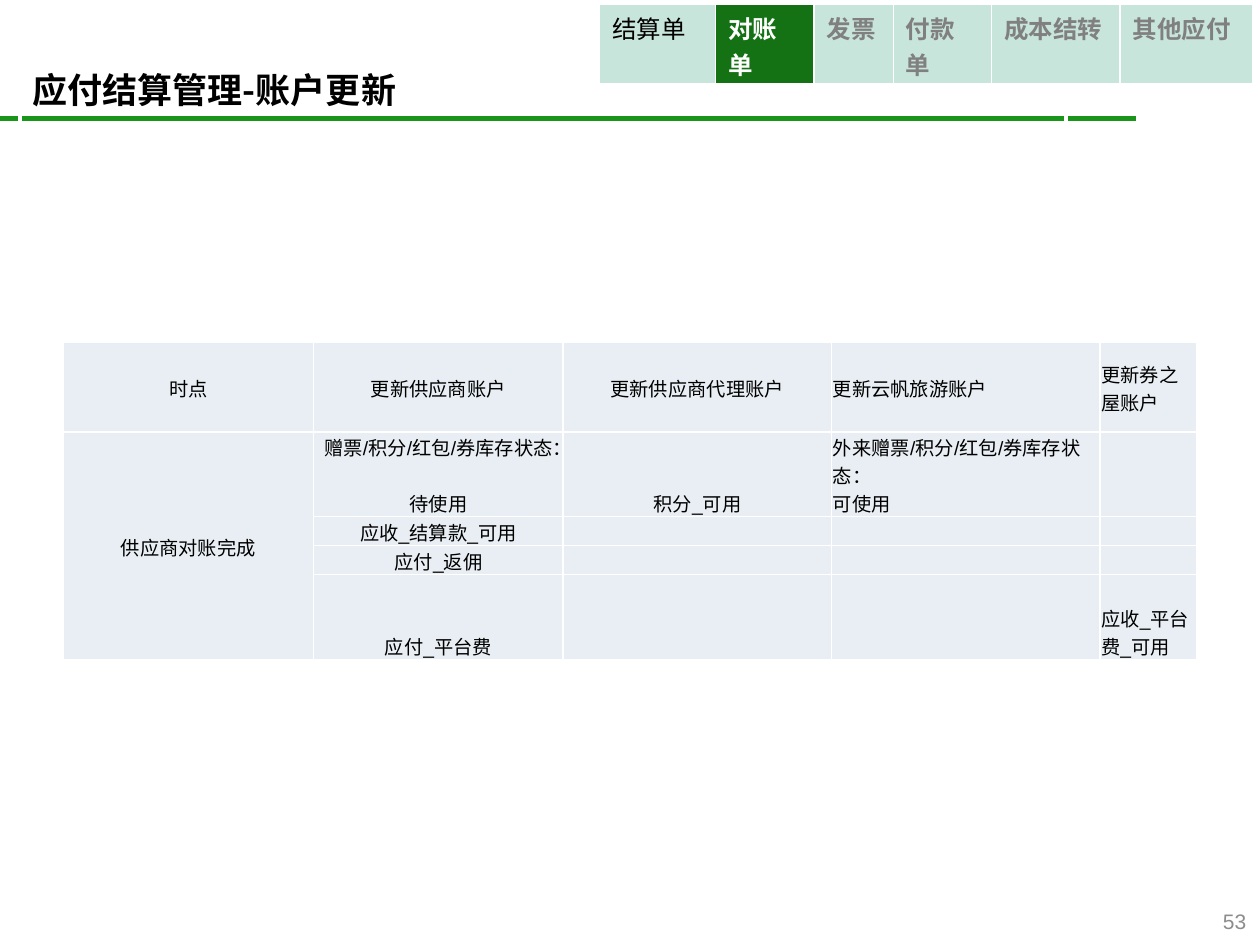
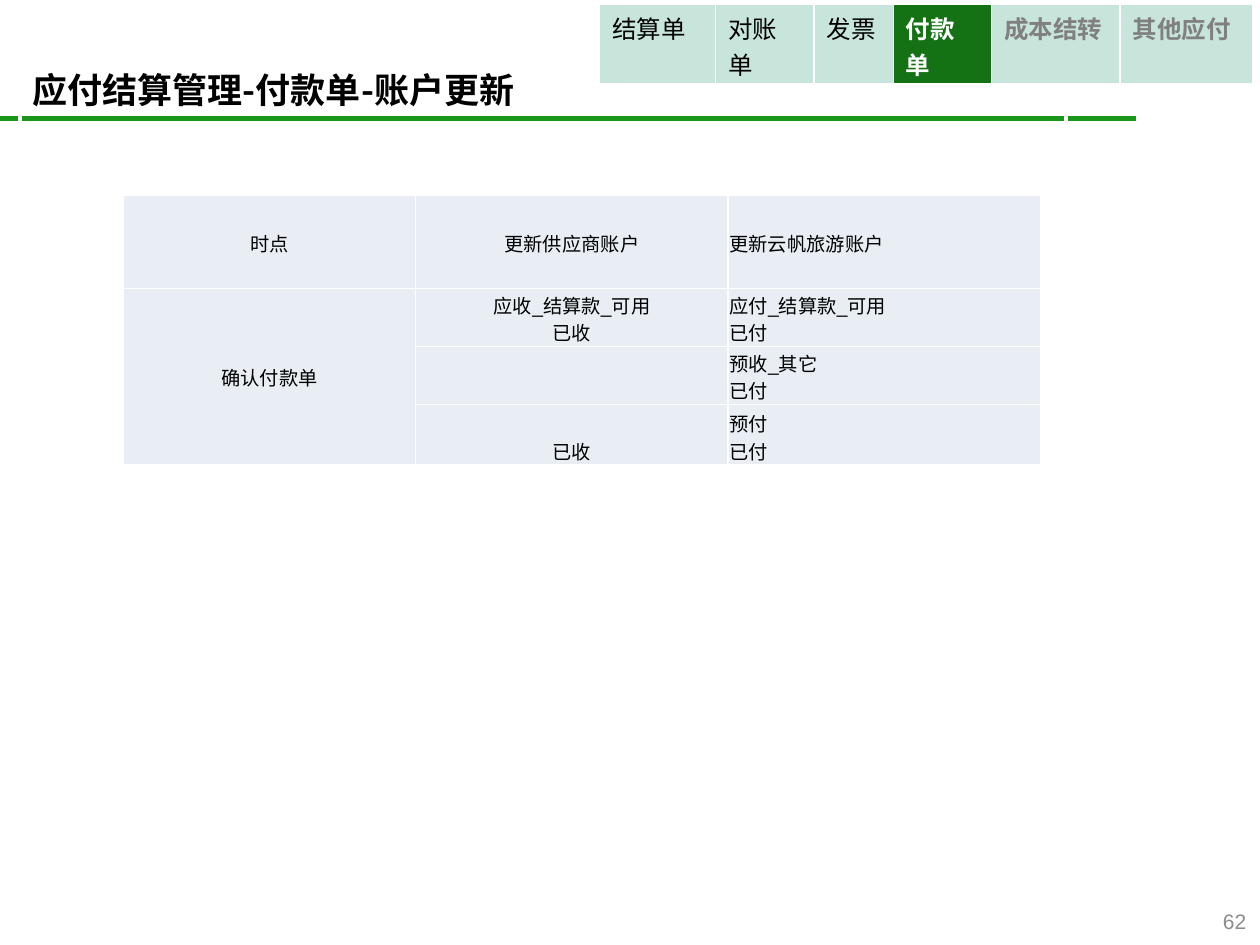
"""Build two payables settlement slides with stage tabs and account update tables."""
from lxml.etree import SubElement
from pptx import Presentation
from pptx.dml.color import RGBColor
from pptx.enum.lang import MSO_LANGUAGE_ID as Language
from pptx.enum.shapes import MSO_CONNECTOR as Connector, MSO_SHAPE as Preset
from pptx.enum.text import MSO_ANCHOR as Anchor, PP_ALIGN as Align
from pptx.oxml.ns import qn
from pptx.util import Inches, Pt

WHITE = RGBColor(0xFF, 0xFF, 0xFF)
BLACK = RGBColor(0x00, 0x00, 0x00)
GRAY = RGBColor(0x80, 0x80, 0x80)
NUMBER_GRAY = RGBColor(0x8C, 0x8C, 0x8C)
RULE_GREEN = RGBColor(0x19, 0x95, 0x19)
ACTIVE_GREEN = RGBColor(0x14, 0x72, 0x14)
TAB_GREEN = RGBColor(0xC8, 0xE5, 0xDC)
CELL_BLUE = RGBColor(0xE8, 0xEE, 0xF3)
CHINESE_FONT = "Noto Sans CJK SC"
LATIN_FONT = "Arial"

STAGES = ["结算单", "对账单", "发票", "付款单", "成本结转", "其他应付"]
STAGE_WIDTHS = [0.92, 0.78, 0.63, 0.78, 1.02, 1.05]
STAGE_HEIGHT = 0.65

SLIDES = [
    {
        "title": "应付结算管理-账户更新",
        "number": "53",
        "stage": "对账单",
        "corner": (0.5, 2.72),
        "columns": [1.99, 1.98, 2.13, 2.13, 0.77],
        "row_heights": [0.71, 0.67, 0.23, 0.23, 0.68],
        "centred_columns": 3,
        "rows": [
            ["时点", "更新供应商账户", "更新供应商代理账户", "更新云帆旅游账户", "更新券之屋账户"],
            ["供应商对账完成", "赠票/积分/红包/券库存状态：\n待使用", "积分_可用",
             "外来赠票/积分/红包/券库存状态：\n可使用", ""],
            ["", "应收_结算款_可用", "", "", ""],
            ["", "应付_返佣", "", "", ""],
            ["", "应付_平台费", "", "", "应收_平台费_可用"],
        ],
    },
    {
        "title": "应付结算管理-付款单-账户更新",
        "number": "62",
        "stage": "付款单",
        "corner": (0.98, 1.55),
        "columns": [2.32, 2.48, 2.48],
        "row_heights": [0.74, 0.46, 0.46, 0.48],
        "centred_columns": 2,
        "rows": [
            ["时点", "更新供应商账户", "更新云帆旅游账户"],
            ["确认付款单", "应收_结算款_可用\n已收", "应付_结算款_可用\n已付"],
            ["", "", "预收_其它\n已付"],
            ["", "已收", "预付\n已付"],
        ],
    },
]


def write(frame, text, size, font=CHINESE_FONT, color=BLACK, bold=False, align=Align.LEFT):
    paragraph = frame.paragraphs[0]
    paragraph.text = text
    paragraph.alignment = align
    points = str(size * 100)
    for line_break in paragraph._p.findall(qn("a:br")):
        SubElement(line_break, qn("a:rPr"), sz=points)
    for run in paragraph.runs:
        run.font.name = font
        run.font.size = Pt(size)
        run.font.bold = bold
        run.font.color.rgb = color
        run.font.language_id = Language.SIMPLIFIED_CHINESE
        SubElement(run.font._element, qn("a:ea"), typeface=CHINESE_FONT)
    if not text:
        SubElement(paragraph._p, qn("a:endParaRPr"), sz=points)


def style_cell(cell, fill, bottom_width=1):
    properties = cell._tc.get_or_add_tcPr()
    for side, width in (("L", 1), ("R", 1), ("T", 1), ("B", bottom_width)):
        border = SubElement(properties, qn(f"a:ln{side}"), w=str(Pt(width)))
        SubElement(SubElement(border, qn("a:solidFill")), qn("a:srgbClr"), val=str(WHITE))
    cell.fill.solid()
    cell.fill.fore_color.rgb = fill


def add_grid(slide, corner, columns, row_heights):
    box = (*corner, sum(columns), sum(row_heights))
    table = slide.shapes.add_table(len(row_heights), len(columns), *map(Inches, box)).table
    table.first_row = table.horz_banding = False
    for column, width in zip(table.columns, columns):
        column.width = Inches(width)
    for row, height in zip(table.rows, row_heights):
        row.height = Inches(height)
    return table


def add_frame(slide, title, number):
    rule = slide.shapes.add_connector(
        Connector.STRAIGHT, 0, Inches(0.94), Inches(9.02), Inches(0.94))
    rule.line.color.rgb = RULE_GREEN
    rule.line.width = Pt(3)
    SubElement(rule._element.spPr, qn("a:effectLst"))

    title_box = slide.shapes.add_shape(
        Preset.RECTANGLE, *map(Inches, (0.16, 0.42, 8.3, 0.58)))
    title_box.shadow.inherit = False
    title_box.fill.background()
    title_box.line.color.rgb = WHITE
    title_box.line.width = Pt(2)
    title_box.text_frame.vertical_anchor = Anchor.MIDDLE
    write(title_box.text_frame, title, 20, bold=True)

    number_box = slide.shapes.add_textbox(*map(Inches, (9.43, 7.14, 0.56, 0.34)))
    number_box.text_frame.word_wrap = True
    number_box.text_frame.vertical_anchor = Anchor.MIDDLE
    write(number_box.text_frame, number, 12, LATIN_FONT, NUMBER_GRAY, align=Align.RIGHT)


def add_stage_tabs(slide, stage):
    table = add_grid(slide, (4.76, 0.03), STAGE_WIDTHS, [STAGE_HEIGHT])
    active = STAGES.index(stage)
    for index, name in enumerate(STAGES):
        cell = table.cell(0, index)
        style_cell(cell, ACTIVE_GREEN if index == active else TAB_GREEN, bottom_width=3)
        color = BLACK if index < active else WHITE if index == active else GRAY
        write(cell.text_frame, name, 14, color=color, bold=index >= active)


def add_account_table(slide, content):
    rows = content["rows"]
    table = add_grid(slide, content["corner"], content["columns"], content["row_heights"])
    for row_index, row in enumerate(rows):
        for column_index, text in enumerate(row):
            cell = table.cell(row_index, column_index)
            cell.margin_left = cell.margin_right = cell.margin_top = Inches(0.01)
            cell.margin_bottom = 0
            in_header = row_index == 0 or column_index == 0
            cell.vertical_anchor = Anchor.MIDDLE if in_header else Anchor.BOTTOM
            style_cell(cell, CELL_BLUE)
            centred = column_index < content["centred_columns"]
            write(cell.text_frame, text, 11, LATIN_FONT,
                  align=Align.CENTER if centred else Align.LEFT)
    table.cell(1, 0).merge(table.cell(len(rows) - 1, 0))


def main():
    presentation = Presentation()
    presentation.slide_width = Inches(10)
    presentation.slide_height = Inches(7.5)
    for content in SLIDES:
        slide = presentation.slides.add_slide(presentation.slide_layouts[6])
        add_frame(slide, content["title"], content["number"])
        add_stage_tabs(slide, content["stage"])
        add_account_table(slide, content)
    presentation.save("out.pptx")


if __name__ == "__main__":
    main()
